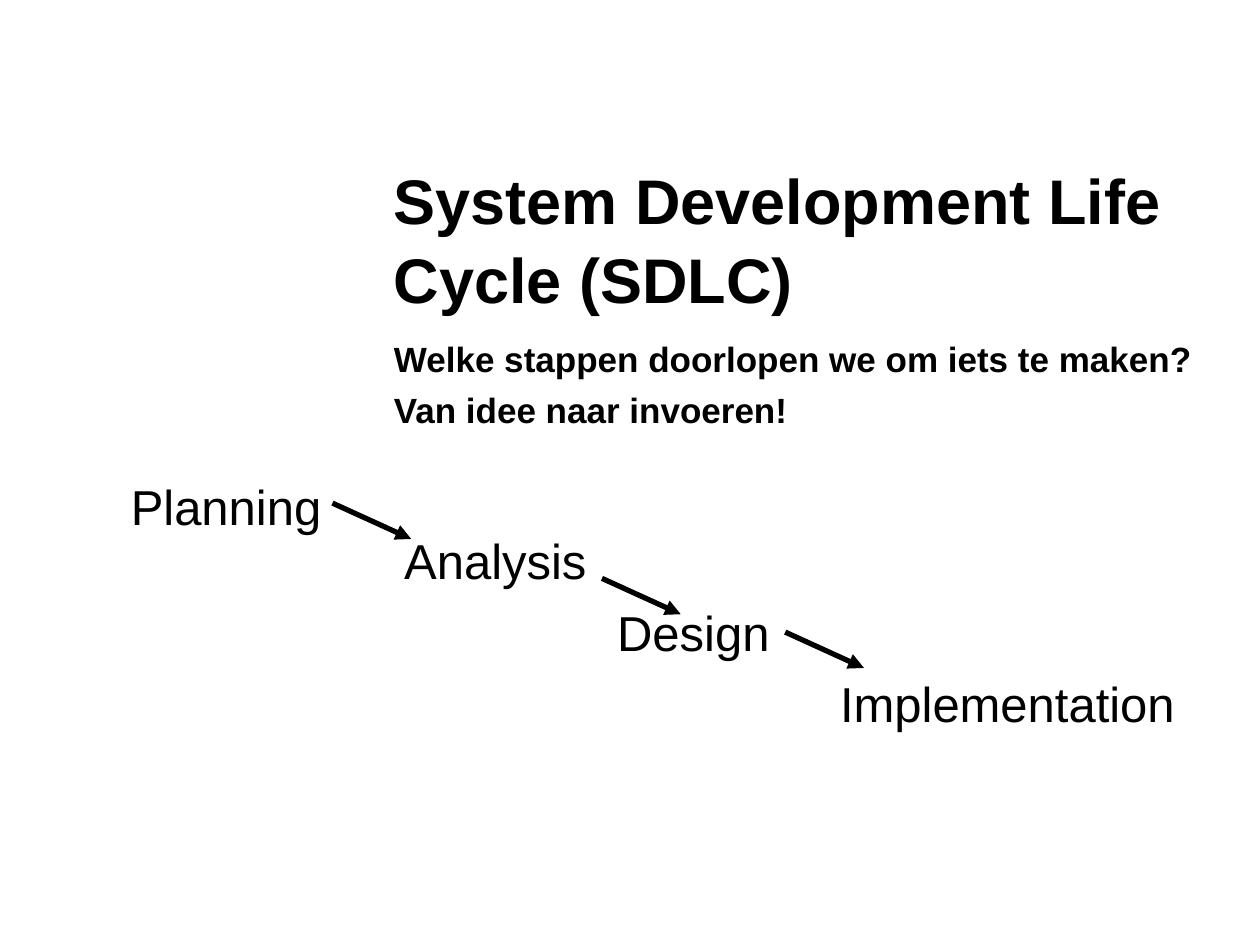
from pptx import Presentation
from pptx.dml.color import RGBColor
from pptx.enum.shapes import MSO_CONNECTOR
from pptx.oxml.ns import qn
from pptx.util import Pt
from lxml import etree

BLACK = "000000"


def add_text(left, top, width, height, lines, size, bold=False, wrap=True,
             spacing=1.0, before=0):
    frame = slide.shapes.add_textbox(Pt(left), Pt(top), Pt(width), Pt(height)).text_frame
    frame.word_wrap = wrap
    for index, line in enumerate(lines):
        paragraph = frame.paragraphs[0] if index == 0 else frame.add_paragraph()
        paragraph.line_spacing = spacing
        paragraph.space_before = Pt(before)
        run = paragraph.add_run()
        run.text = line
        run.font.name = "Arial"
        run.font.size = Pt(size)
        run.font.bold = bold
        run.font.color.rgb = RGBColor.from_string(BLACK)


prs = Presentation()
prs.slide_width, prs.slide_height = Pt(720), Pt(540)
slide = prs.slides.add_slide(prs.slide_layouts[6])

add_text(218, 86.4, 480, 51, ["System Development Life Cycle (SDLC)"], 36,
         bold=True, spacing=1.05)
add_text(218, 188, 480, 311,
         ["Welke stappen doorlopen we om iets te maken?", "Van idee naar invoeren!"],
         20, bold=True, spacing=1.05, before=4)

phases = [
    ("Planning", 67.7, 268.5, 124.6),
    ("Analysis", 223.9, 299.5, 120.2),
    ("Design", 345.6, 340.5, 103),
    ("Implementation", 473, 381.6, 208),
]
for phase, left, top, width in phases:
    add_text(left, top, width, 41, [phase], 28, wrap=False)

# All arrows between the phases share one slope and length
for left, top in [(190, 287.5), (344, 330.5), (448.7, 361.2)]:
    arrow = slide.shapes.add_connector(
        MSO_CONNECTOR.STRAIGHT, Pt(left), Pt(top), Pt(left + 45), Pt(top + 20.5))
    arrow.line.color.rgb = RGBColor.from_string(BLACK)
    arrow.line.width = Pt(3)
    etree.SubElement(arrow.line._get_or_add_ln(), qn("a:tailEnd"), type="triangle")
    etree.SubElement(arrow._element.spPr, qn("a:effectLst"))

prs.save("out.pptx")
